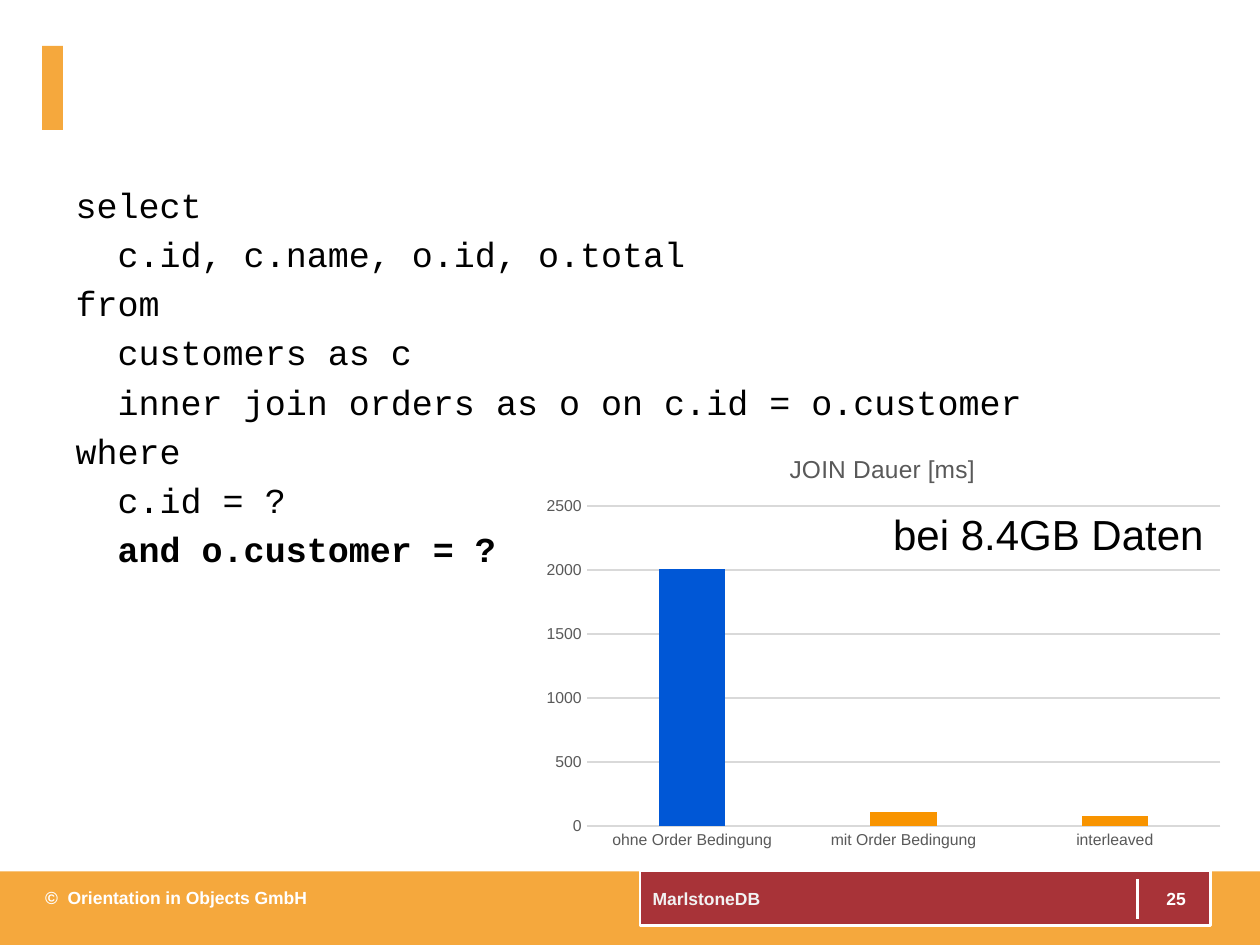
from lxml import etree
from pptx import Presentation
from pptx.chart.data import CategoryChartData
from pptx.dml.color import RGBColor
from pptx.enum import chart as ch, shapes, text
from pptx.oxml import parse_xml
from pptx.oxml.ns import nsdecls, qn
from pptx.util import Pt

# Content
CODE = [
    ("select", False),
    ("  c.id, c.name, o.id, o.total", False),
    ("from", False),
    ("  customers as c", False),
    ("  inner join orders as o on c.id = o.customer", False),
    ("where", False),
    ("  c.id = ?", False),
    ("  and o.customer = ?", True),
]
TITLE = "JOIN Dauer [ms]"
BARS = [
    ("ohne Order Bedingung", 2010, "blue"),
    ("mit Order Bedingung", 110, "bar"),
    ("interleaved", 80, "bar"),
]
NOTE = "bei 8.4GB Daten"
OWNER, TOPIC, PAGE = "©  Orientation in Objects GmbH", "MarlstoneDB", "25"

THEME = {
    "font": "Arial", "mono": "Courier New",
    "size": {"code": 20, "note": 24, "foot": 10, "title": 14, "axis": 9},
    "color": {"orange": "F5A83D", "red": "A83338", "white": "FFFFFF",
              "pale": "F2F2F2", "black": "000000", "gray": "595959",
              "grid": "D9D9D9", "blue": "0057D6", "bar": "F89400"},
}
WIDE, HIGH = 720, 540


def color(name):
    return RGBColor.from_string(THEME["color"][name])


def style(font, size, tint, bold=False, face="font"):
    font.name, font.size, font.bold = THEME[face], Pt(THEME["size"][size]), bold
    font.color.rgb = color(tint)


def block(slide, box, fill, line=None):
    shape = slide.shapes.add_shape(shapes.MSO_SHAPE.RECTANGLE, *map(Pt, box))
    shape.shadow.inherit = False
    shape.fill.solid()
    shape.fill.fore_color.rgb = color(fill)
    if line:
        shape.line.color.rgb = color(line)
        shape.line.width = Pt(1.5)
    else:
        shape.line.fill.background()
    return shape


def write(shape, words, size, tint, bold=False, align="LEFT", wrap=True,
          anchor="MIDDLE"):
    frame = shape.text_frame
    frame.text = words
    frame.word_wrap = wrap
    frame.vertical_anchor = getattr(text.MSO_ANCHOR, anchor)
    para = frame.paragraphs[0]
    para.alignment = getattr(text.PP_ALIGN, align)
    style(para.runs[0].font, size, tint, bold)


def label(slide, box, *args, **opts):
    write(slide.shapes.add_textbox(*map(Pt, box)), *args, **opts)


def frame_slide(slide):
    # Footer band, topic box, divider and title accent
    block(slide, (0, 498, WIDE, HIGH - 498), "orange")
    topic = block(slide, (365.8, 497.8, 326, 31), "red", "white")
    write(topic, TOPIC, "foot", "pale", True)
    rule = slide.shapes.add_connector(
        shapes.MSO_CONNECTOR.STRAIGHT, Pt(650), Pt(502.5), Pt(650), Pt(525))
    rule.line.color.rgb = color("white")
    rule.line.width = Pt(1.5)
    etree.SubElement(rule._element.spPr, qn("a:effectLst"))
    label(slide, (18.7, 497.5, 253.5, 31), OWNER, "foot", "white", True)
    label(slide, (652.3, 499, 39.6, 29), PAGE, "foot", "white", True, "CENTER")
    block(slide, (24, 26.2, 12, 48), "orange")


def code_list(body):
    body.left, body.top, body.width, body.height = map(Pt, (36, 101.5, 648, 381))
    frame = body.text_frame
    frame.text = "\n".join(line for line, _ in CODE)
    frame.auto_size = text.MSO_AUTO_SIZE.NONE
    for i, (para, (_, bold)) in enumerate(zip(frame.paragraphs, CODE)):
        props = para._p.get_or_add_pPr()
        props.set("marL", "0")
        props.set("indent", "0")
        etree.SubElement(props, qn("a:buNone"))
        para.space_before = Pt(4 if i else 0)
        style(para.runs[0].font, "code", "black", bold, "mono")


def bar_chart(slide):
    data = CategoryChartData()
    data.categories = [name for name, _, _ in BARS]
    data.add_series("Series 1", [value for _, value, _ in BARS])
    chart = slide.shapes.add_chart(
        ch.XL_CHART_TYPE.COLUMN_CLUSTERED, *map(Pt, (303, 247.7, 402.5, 244)),
        data).chart
    style(chart.font, "foot", "black")
    chart.has_legend = False
    chart.has_title = True
    chart.chart_title.text_frame.text = TITLE
    style(chart.chart_title.text_frame.paragraphs[0].runs[0].font, "title", "gray")

    # Axes
    cats, vals = chart.category_axis, chart.value_axis
    for axis in (cats, vals):
        axis.major_tick_mark = axis.minor_tick_mark = ch.XL_TICK_MARK.NONE
        style(axis.tick_labels.font, "axis", "gray")
    vals.minimum_scale, vals.maximum_scale, vals.major_unit = 0, 2500, 500
    vals.format.line.fill.background()
    for part in (cats, vals.major_gridlines):
        part.format.line.color.rgb = color("grid")
        part.format.line.width = Pt(0.75)

    # Bars
    plot = chart.plots[0]
    plot.gap_width, plot.overlap, plot.vary_by_categories = 219, -27, False
    series = plot.series[0]
    series.format.fill.solid()
    series.format.fill.fore_color.rgb = color("bar")
    for i, (_, _, tint) in enumerate(BARS):
        fill = series.points[i].format.fill
        fill.solid()
        fill.fore_color.rgb = color(tint)

    # Fixed plot area, as shares of the chart
    area = chart._chartSpace.find(".//" + qn("c:plotArea"))
    for old in area.findall(qn("c:layout")):
        area.remove(old)
    marks = [("layoutTarget", "inner"), ("xMode", "edge"), ("yMode", "edge"),
             ("x", 0.08), ("y", 0.17), ("w", 0.9), ("h", 0.75)]
    inner = "".join(f'<c:{tag} val="{val}"/>' for tag, val in marks)
    area.insert(0, parse_xml(
        f'<c:layout {nsdecls("c")}><c:manualLayout>{inner}'
        "</c:manualLayout></c:layout>"))


def main():
    deck = Presentation()
    deck.slide_width, deck.slide_height = Pt(WIDE), Pt(HIGH)
    slide = deck.slides.add_slide(deck.slide_layouts[1])
    head = slide.shapes.title._element
    head.getparent().remove(head)
    frame_slide(slide)
    code_list(slide.placeholders[1])
    bar_chart(slide)
    label(slide, (503.3, 287.3, 193.7, 36), NOTE, "note", "black",
          wrap=False, anchor="TOP")
    deck.save("out.pptx")


if __name__ == "__main__":
    main()
